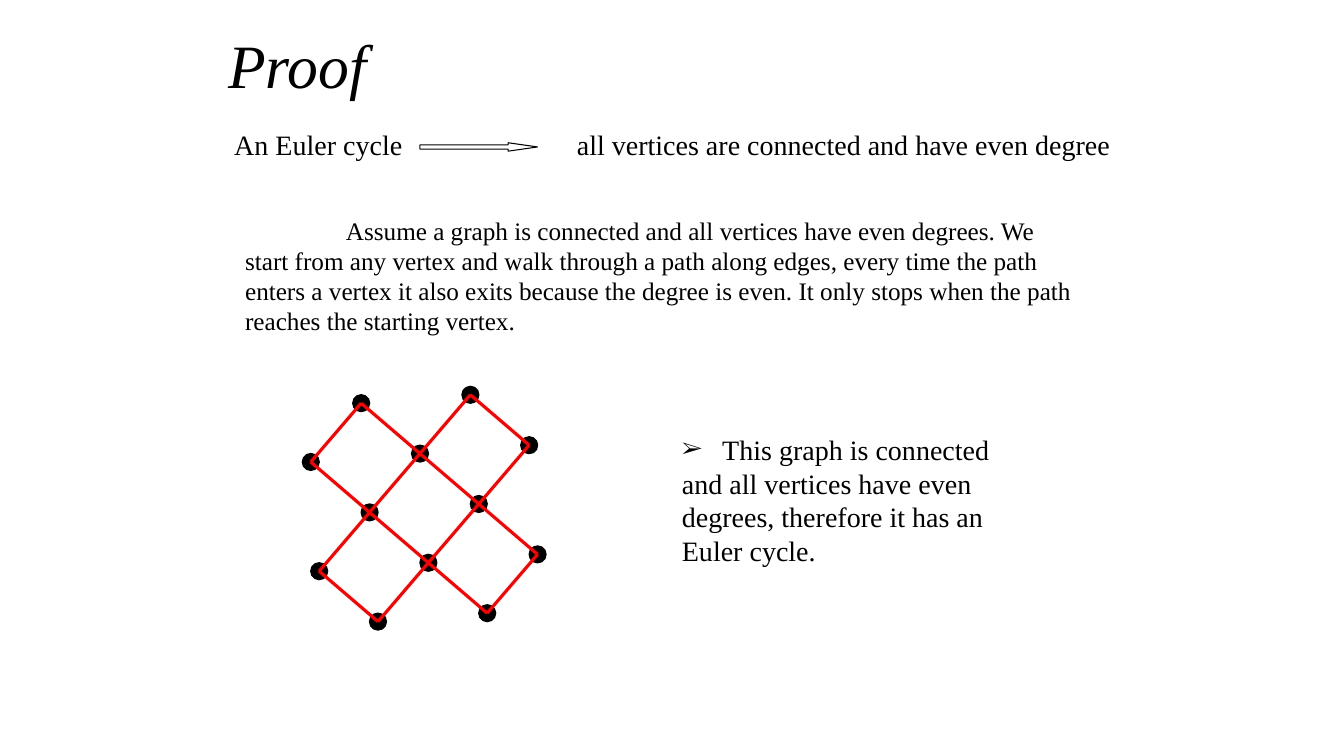
from itertools import combinations

from lxml import etree
from pptx import Presentation, util as u
from pptx.dml.color import RGBColor
from pptx.enum import shapes, text
from pptx.oxml import ns

COLORS = {"ink": "000000", "paper": "FFFFFF", "cycle": "FF0000"}
FONT = "Times New Roman"
UNIT = u.Inches(1) / 12  # the slide is a grid of 160 columns by 90 rows

# The graph is a tilted lattice: one step along each axis, in grid units.
ORIGIN = (43, 48)
STEP_RIGHT = (7, 6)
STEP_DOWN = (-6, 7)
LATTICE_ROWS = {-1: (1, 2), 0: range(4), 1: range(4), 2: (1, 2)}
DOT = 2


def grid(*units):
    return [u.Emu(round(n * UNIT)) for n in units]


def color(name):
    return RGBColor.from_string(COLORS[name])


def add_child(parent, tag, **attributes):
    child = etree.SubElement(parent, ns.qn(tag))
    for key, value in attributes.items():
        child.set(key, str(value))
    return child


def add_text(slide, place, words, size, italic=False, spacing=1.0, indent=0,
             tab=None, bullet=None, anchor=text.MSO_ANCHOR.TOP):
    """Add one wrapped paragraph; indent and tab are in grid units."""
    frame = slide.shapes.add_textbox(*grid(*place)).text_frame
    frame.word_wrap = True
    frame.vertical_anchor = anchor
    paragraph = frame.paragraphs[0]
    paragraph.line_spacing = spacing
    properties = paragraph._p.get_or_add_pPr()
    properties.set("marL", "0")
    properties.set("indent", str(grid(indent)[0]))
    if bullet:
        add_child(properties, "a:buSzPct", val=80000)
        add_child(properties, "a:buFont", typeface=FONT)
        add_child(properties, "a:buChar", char=bullet)
    if tab:
        stops = add_child(properties, "a:tabLst")
        add_child(stops, "a:tab", pos=grid(tab)[0], algn="l")
    run = paragraph.add_run()
    run.text = words
    style = {"name": FONT, "size": u.Pt(size), "italic": italic}
    for key, value in style.items():
        setattr(run.font, key, value)
    run.font.color.rgb = color("ink")


def add_figure(slide, kind, place, fill, width):
    figure = slide.shapes.add_shape(kind, *grid(*place))
    figure.shadow.inherit = False
    figure.fill.solid()
    figure.fill.fore_color.rgb = color(fill)
    figure.line.color.rgb = color("ink")
    figure.line.width = u.Pt(width)
    return figure


def add_edge(slide, start, end):
    edge = slide.shapes.add_connector(
        shapes.MSO_CONNECTOR.STRAIGHT, *grid(*start, *end))
    edge.line.color.rgb = color("cycle")
    edge.line.width = u.Pt(2.25)
    add_child(edge._element.spPr, "a:effectLst")


def lattice_point(column, row):
    return tuple(start + column * right + row * down
                 for start, right, down in zip(ORIGIN, STEP_RIGHT, STEP_DOWN))


def add_graph(slide):
    """Draw the vertices, then join every two lattice neighbours."""
    vertices = [(column, row) for row, columns in LATTICE_ROWS.items()
                for column in columns]
    for vertex in vertices:
        x, y = lattice_point(*vertex)
        add_figure(slide, shapes.MSO_SHAPE.OVAL,
                   (x - DOT / 2, y - DOT / 2, DOT, DOT), "ink", 1)
    for a, b in combinations(vertices, 2):
        if abs(a[0] - b[0]) + abs(a[1] - b[1]) == 1:
            add_edge(slide, lattice_point(*a), lattice_point(*b))


def add_theorem(slide):
    """Place the premise and the conclusion on either side of an arrow."""
    sides = [(26.7, 23, "An Euler cycle"),
             (67.5, 68, "all vertices are connected and have even degree")]
    for left, width, words in sides:
        add_text(slide, (left, 15, width, 5), words, 20, spacing=0.9)
    implies = add_figure(slide, shapes.MSO_SHAPE.RIGHT_ARROW,
                         (50, 17, 14, 1), "paper", 0.75)
    implies.adjustments[1] = 3.5


def main():
    deck = Presentation()
    deck.slide_width, deck.slide_height = grid(160, 90)
    slide = deck.slides.add_slide(deck.slide_layouts[6])

    add_text(slide, (26, 2, 108, 12.4), "Proof", 44, italic=True,
             spacing=0.9, anchor=text.MSO_ANCHOR.MIDDLE)
    add_theorem(slide)
    add_text(slide, (28, 25, 101, 15.7),
             "Assume a graph is connected and all vertices have even degrees. "
             "We start from any vertex and walk through a path along edges, "
             "every time the path enters a vertex it also exits because the "
             "degree is even. It only stops when the path reaches the "
             "starting vertex.", 18, indent=12)
    add_graph(slide)
    add_text(slide, (80, 50.9, 44, 17.4),
             "\tThis graph is connected and all vertices have even degrees, "
             "therefore it has an Euler cycle.", 20, tab=4.8, bullet="➢")

    deck.save("out.pptx")


if __name__ == "__main__":
    main()
